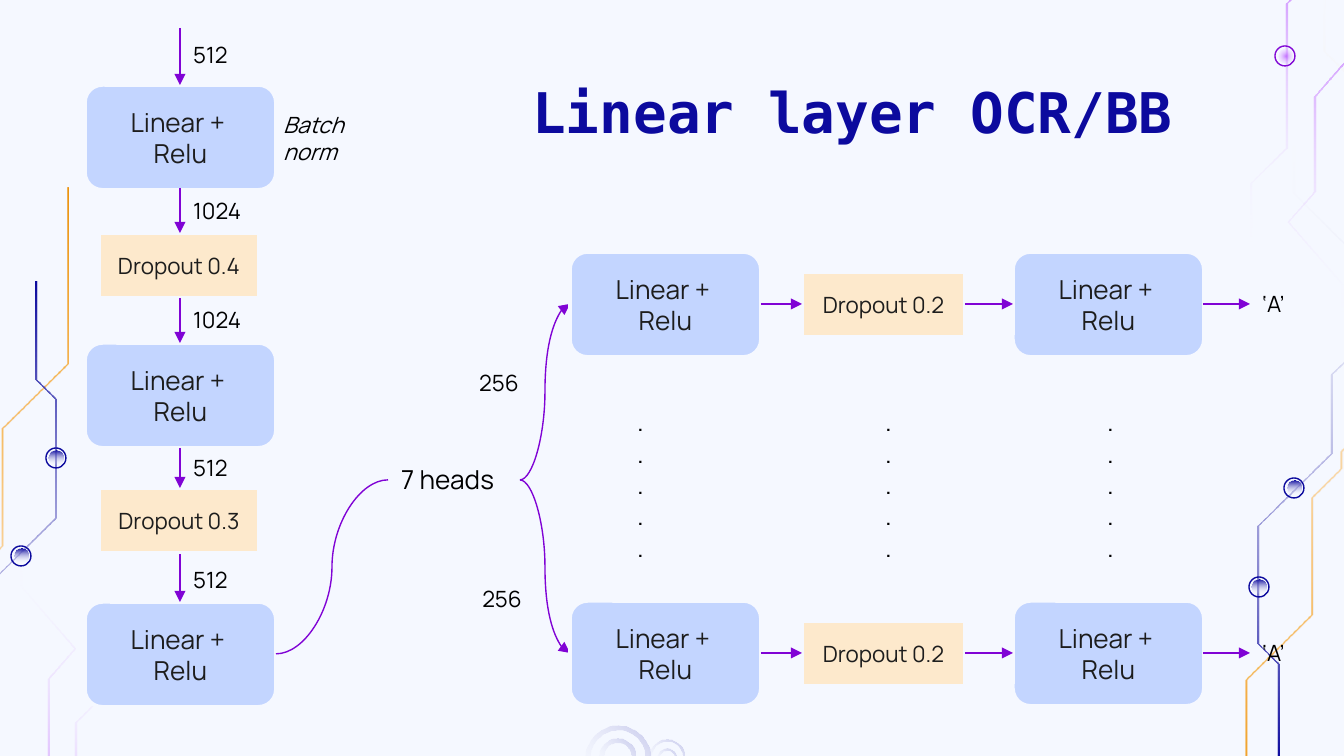
from pptx import Presentation
from pptx.dml.color import RGBColor
from pptx.enum.shapes import MSO_CONNECTOR, MSO_SHAPE
from pptx.enum.text import MSO_ANCHOR, PP_ALIGN
from pptx.oxml.ns import qn
from pptx.util import Emu, Pt
from lxml import etree

PX = 914400 / 134.4
LINE, CURVE = MSO_CONNECTOR.STRAIGHT, MSO_CONNECTOR.CURVE
ROUND, RECT = MSO_SHAPE.ROUNDED_RECTANGLE, MSO_SHAPE.RECTANGLE
OVAL, DONUT = MSO_SHAPE.OVAL, MSO_SHAPE.DONUT
LEFT, CENTER = PP_ALIGN.LEFT, PP_ALIGN.CENTER
TOP, MIDDLE = MSO_ANCHOR.TOP, MSO_ANCHOR.MIDDLE

PALE, NAVY, VIOLET, INK = "F5F8FF", "0C0A9E", "8003D5", "1D1D1D"
CLEAR = (100, "FFFFFF", 0)
# Gradient stops: position, colour, opacity, all but colour in percent
AMBER = [(0, "EB9109", 100), (40, "FF9900", 41), CLEAR]
BLUE = [(0, NAVY, 100), CLEAR]
LILAC = [(0, "9900FF", 47), CLEAR]
MIST = [(0, NAVY, 20), CLEAR]

# Each trace: stops, angle, sum of mirrored points, left edge points
TRACES = [
    (AMBER, 90, (1312, 1044),
     [(66, 188), (66, 364), (1, 429), (1, 546), (-28, 575), (-28, 592),
      (-44, 609), (-44, 682), (-77, 714), (-77, 761), (-101, 785),
      (-101, 903), (-11, 992), (-11, 1095)]),
    (BLUE, 90, (1313, 1044),
     [(35, 282), (35, 380), (55, 400), (55, 518), (-17, 590), (-17, 669),
      (-50, 702), (-50, 779), (20, 850), (20, 902)]),
    (LILAC, 270, (1361, 871),
     [(27, 914), (75, 867), (75, 723), (110, 688), (110, 625)]),
    (LILAC, 270, (1361, 871),
     [(-27, 860), (47, 774), (47, 679), (73, 649), (20, 587), (20, 555)]),
]


def px(*nums):
    return [Emu(round(n * PX)) for n in nums]


def color(code):
    return RGBColor.from_string(code)


def fade(shape, stops, angle=None):
    """Fill with a gradient: linear at the angle, or radial without one."""
    shape.fill.gradient()
    grad = shape._element.spPr.find(qn("a:gradFill"))
    for child in list(grad):
        grad.remove(child)
    group = etree.SubElement(grad, qn("a:gsLst"))
    for pos, code, alpha in stops:
        stop = etree.SubElement(group, qn("a:gs"), pos=str(pos * 1000))
        tint = etree.SubElement(stop, qn("a:srgbClr"), val=code)
        etree.SubElement(tint, qn("a:alpha"), val=str(alpha * 1000))
    if angle is None:
        ring = etree.SubElement(grad, qn("a:path"), path="circle")
        sides = dict.fromkeys("ltrb", "50000")
        etree.SubElement(ring, qn("a:fillToRect"), **sides)
    else:
        etree.SubElement(grad, qn("a:lin"), ang=str(angle * 60000), scaled="0")


def put(slide, kind, box, fill=None, line=None, width=0.75):
    shape = slide.shapes.add_shape(kind, *px(*box))
    shape.shadow.inherit = False
    if fill:
        shape.fill.solid()
        shape.fill.fore_color.rgb = color(fill)
    else:
        shape.fill.background()
    if line:
        shape.line.color.rgb = color(line)
        shape.line.width = Pt(width)
    else:
        shape.line.fill.background()
    return shape


def write(shape, text, size=12, font="Manrope", ink="000000", bold=False,
          italic=False, align=LEFT, anchor=TOP):
    frame = shape.text_frame
    frame.word_wrap = True
    frame.vertical_anchor = anchor
    for i, part in enumerate(text.split("\n")):
        para = frame.add_paragraph() if i else frame.paragraphs[0]
        para.alignment = align
        run = para.add_run()
        run.text = part
        run.font.size, run.font.name = Pt(size), font
        run.font.bold, run.font.italic = bold, italic
        run.font.color.rgb = color(ink)
    return frame


def label(slide, text, box, **style):
    return write(slide.shapes.add_textbox(*px(*box)), text, **style)


def dense(slide, x, y):
    shape = put(slide, ROUND, (x, y, 191, 105), "C3D5FF", PALE, 2)
    write(shape, "Linear + \nRelu", size=14, ink=INK, align=CENTER,
          anchor=MIDDLE)


def drop(slide, rate, x, y, wide):
    shape = put(slide, RECT, (x, y, wide, 65), "FDE9CC", PALE, 2)
    write(shape, f"Dropout {rate}", ink=INK, align=CENTER, anchor=MIDDLE)


def link(slide, start, end, kind=LINE, head=True):
    wire = slide.shapes.add_connector(kind, *px(*start, *end))
    wire.line.color.rgb = color(VIOLET)
    wire.line.width = Pt(0.75)
    if head:
        etree.SubElement(wire.line._get_or_add_ln(), qn("a:tailEnd"),
                         type="triangle")
    etree.SubElement(wire._element.spPr, qn("a:effectLst"))


def trace(slide, points, stops, angle):
    """Draw a thin fading ribbon along the points."""
    edge = points + [(x + 2, y) for x, y in reversed(points)]
    pen = slide.shapes.build_freeform(*edge[0], scale=PX)
    pen.add_line_segments(edge[1:])
    shape = pen.convert_to_shape()
    shape.shadow.inherit = False
    shape.line.fill.background()
    fade(shape, stops, angle)


def node(slide, x, y, line=NAVY, stops=BLUE, angle=90):
    put(slide, OVAL, (x, y, 20, 20), line=line)
    fade(put(slide, OVAL, (x + 3, y + 3, 14, 14)), stops, angle)


def decor(slide):
    for stops, angle, (across, down), points in TRACES:
        trace(slide, points, stops, angle)
        twin = [(across - x, down - y) for x, y in points]
        trace(slide, twin, stops, (angle + 180) % 360)
    for x, y in [(46, 448), (11, 546), (1249, 577), (1284, 478)]:
        node(slide, x, y)
    node(slide, 1275, 46, "8208D5", LILAC, None)
    for x, y, size, band in [(586, 726, 64, 0.08), (600, 739, 35, 0.13),
                             (650, 740, 34, 0.07), (657, 749, 19, 0.12)]:
        ring = put(slide, DONUT, (x, y, size, size))
        ring.adjustments[0] = band
        fade(ring, MIST, 135)


def stem(slide):
    for y in (85, 343, 602):
        dense(slide, 85, y)
    for rate, y in [("0.4", 233), ("0.3", 488)]:
        drop(slide, rate, 99, y, 160)
    for size, top, end, y in [("512", 28, 85, 35), ("1024", 188, 233, 191),
                              ("1024", 298, 343, 300), ("512", 448, 488, 448),
                              ("512", 554, 602, 560)]:
        link(slide, (180, top), (180, end))
        label(slide, size, (180, y, 95, 40))
    label(slide, "Batch norm", (270, 105, 130, 67), italic=True)


def heads(slide):
    link(slide, (276, 654), (388, 480), CURVE, head=False)
    label(slide, "7 heads", (388, 457, 130, 46), size=14)
    for mid, x, y in [(304, 466, 363), (653, 469, 579)]:
        link(slide, (520, 480), (570, mid), CURVE)
        label(slide, "256", (x, y, 95, 40))
        for left in (570, 1013):
            dense(slide, left, mid - 52)
        drop(slide, "0.2", 802, mid - 32, 163)
        for start, end in [(761, 802), (965, 1013), (1203, 1250)]:
            link(slide, (start, mid), (end, mid))
        label(slide, "‘A’", (1249, mid - 20, 70, 40))
    for x, wide in [(624, 70), (872, 47), (1094, 70)]:
        label(slide, "\n".join("....."), (x, 399, wide, 172), size=14)


def main():
    deck = Presentation()
    deck.slide_width, deck.slide_height = px(1344, 756)
    slide = deck.slides.add_slide(deck.slide_layouts[6])
    slide.background.fill.solid()
    slide.background.fill.fore_color.rgb = color(PALE)
    decor(slide)
    stem(slide)
    heads(slide)
    frame = label(slide, "Linear layer OCR/BB", (446, 65, 813, 62), size=30,
                  font="DejaVu Sans Mono", ink=NAVY, bold=True, align=CENTER)
    frame.margin_top, frame.margin_bottom = px(13, 13)
    deck.save("out.pptx")


if __name__ == "__main__":
    main()
